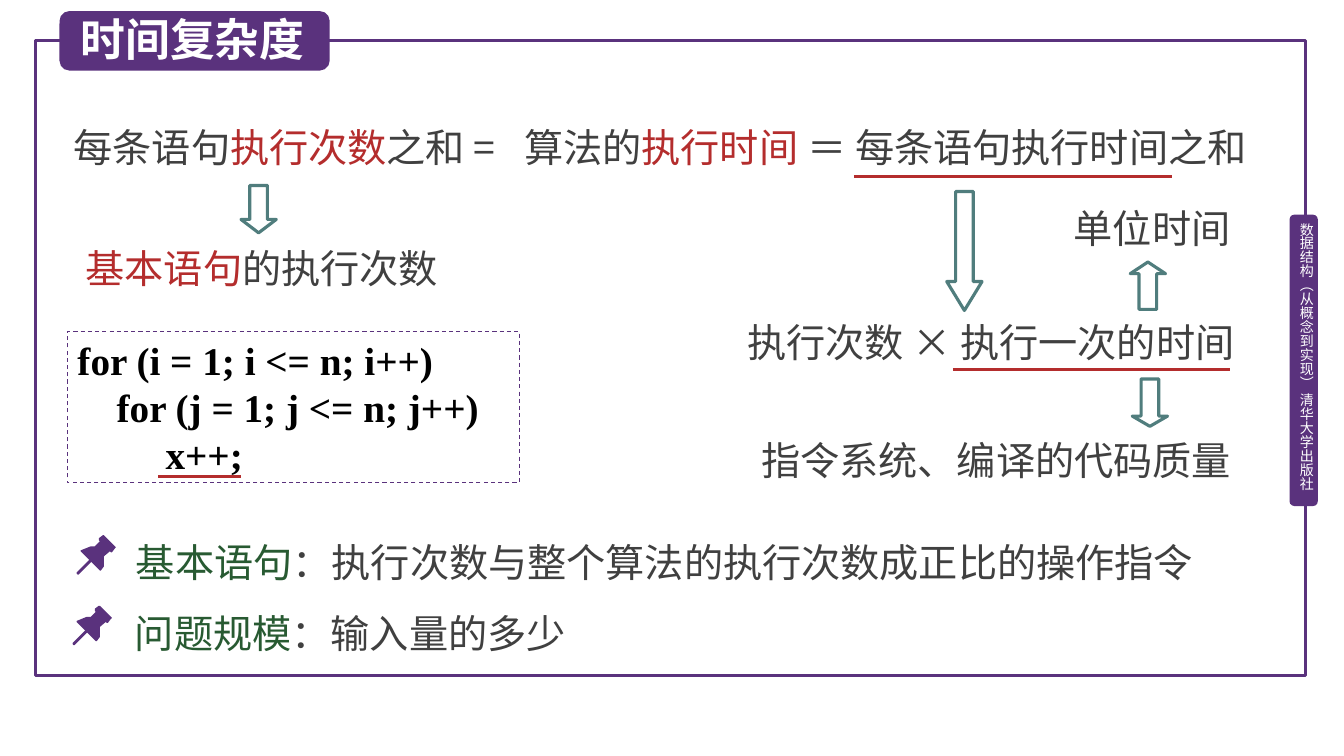
"""Build the slide on time complexity."""
from lxml import etree
from pptx import Presentation
from pptx.dml.color import RGBColor
from pptx.enum.dml import MSO_LINE
from pptx.enum.shapes import MSO_CONNECTOR, MSO_SHAPE
from pptx.oxml.ns import qn
from pptx.util import Inches, Pt

RECTANGLE, ROUNDED = MSO_SHAPE.RECTANGLE, MSO_SHAPE.ROUNDED_RECTANGLE
DOWN, UP = MSO_SHAPE.DOWN_ARROW, MSO_SHAPE.UP_ARROW
STRAIGHT, DASH = MSO_CONNECTOR.STRAIGHT, MSO_LINE.DASH
PURPLE = RGBColor(0x5A, 0x32, 0x7D)
RED = RGBColor(0xB4, 0x2D, 0x2D)
TEAL = RGBColor(0x50, 0x7D, 0x7D)
GREEN = RGBColor(0x28, 0x5A, 0x32)
GRAY = RGBColor(0x40, 0x40, 0x40)
BLACK = RGBColor(0, 0, 0)
WHITE = RGBColor(0xFF, 0xFF, 0xFF)
CJK, SERIF = "Noto Sans CJK SC", "Times New Roman"

TITLE = "时间复杂度"
COURSE = "数据结构（从概念到实现） 清华大学出版社"
CODE = ["for (i = 1; i <= n; i++)", "    for (j = 1; j <= n; j++)", "         x++;"]
STATEMENTS = [
    ((0.73, 1.21, 4.37, 0.55), [("每条语句", GRAY), ("执行次数", RED), ("之和 =", GRAY)]),
    ((5.2, 1.21, 7.5, 0.55),
     [("算法的", GRAY), ("执行时间", RED), (" ＝ 每条语句执行时间之和", GRAY)]),
    ((0.85, 2.41, 3.7, 0.55), [("基本语句", RED), ("的执行次数", GRAY)]),
    ((10.65, 2.01, 1.8, 0.55), [("单位时间", GRAY)]),
    ((7.41, 3.14, 5.2, 0.55), [("执行次数 × 执行一次的时间", GRAY)]),
    ((7.55, 4.31, 4.85, 0.55), [("指令系统、编译的代码质量", GRAY)]),
]
DEFINITIONS = [
    ((1.25, 5.2, 11.32, 0.67), (0.76, 5.3),
     [("基本语句", GREEN), ("：执行次数与整个算法的执行次数成正比的操作指令", GRAY)]),
    ((1.24, 5.9, 5.01, 0.67), (0.72, 6.0),
     [("问题规模", GREEN), ("：输入量的多少", GRAY)]),
]
ARROWS = [
    (DOWN, (2.39, 1.84, 0.35, 0.47), 0.38),
    (DOWN, (9.39, 1.9, 0.35, 1.18), 0.82),
    (UP, (11.21, 2.6, 0.35, 0.47), 0.33),
    (DOWN, (11.23, 3.76, 0.35, 0.47), 0.29),
]
UNDERLINES = [(8.47, 11.62, 1.75), (9.45, 12.2, 3.67), (1.57, 2.39, 4.73)]
PIN_HEAD = [(0.39, 0.13), (0.27, 0.01), (0.26, 0.01), (0.22, 0.04), (0.22, 0.06),
            (0.23, 0.07), (0.18, 0.12), (0.14, 0.12), (0.04, 0.16), (0.04, 0.17),
            (0.23, 0.36), (0.24, 0.36), (0.27, 0.32), (0.27, 0.22), (0.33, 0.17),
            (0.34, 0.18), (0.35, 0.18), (0.38, 0.14)]
PIN_NEEDLE = [(0.01, 0.4), (0, 0.39), (0, 0.38), (0.13, 0.25), (0.15, 0.25),
              (0.15, 0.27), (0.02, 0.4)]


def paint(shape, fill=None, line=None, width=2.25):
    shape.shadow.inherit = False
    if fill is None:
        shape.fill.background()
    else:
        shape.fill.solid()
        shape.fill.fore_color.rgb = fill
    if line is None:
        shape.line.fill.background()
    else:
        shape.line.color.rgb = line
        shape.line.width = Pt(width)
    return shape


def add_block(slide, kind, box, **look):
    return paint(slide.shapes.add_shape(kind, *map(Inches, box)), **look)


def add_text(slide, box, lines, size=28, font=CJK, bold=False, inset=(0.1, 0.05),
             spacing=1.0, vertical=False):
    frame = slide.shapes.add_textbox(*map(Inches, box)).text_frame
    frame.word_wrap = True
    frame.margin_left = frame.margin_right = Inches(inset[0])
    frame.margin_top = frame.margin_bottom = Inches(inset[1])
    if vertical:
        frame._txBody.bodyPr.set("vert", "eaVert")
    for number, runs in enumerate(lines):
        paragraph = frame.add_paragraph() if number else frame.paragraphs[0]
        paragraph.line_spacing = spacing
        for words, color in runs:
            run = paragraph.add_run()
            run.text = words
            run.font.size, run.font.bold, run.font.name = Pt(size), bold, font
            run.font.color.rgb = color
            etree.SubElement(run.font._element, qn("a:ea")).set("typeface", font)


def add_underline(slide, left, right, y):
    rule = slide.shapes.add_connector(
        STRAIGHT, Inches(left), Inches(y), Inches(right), Inches(y))
    rule.line.color.rgb = RED
    rule.line.width = Pt(2.25)
    etree.SubElement(rule._element.spPr, qn("a:effectLst"))


def add_pin(slide, left, top):
    for outline in (PIN_HEAD, PIN_NEEDLE):
        points = [(Inches(left + x), Inches(top + y)) for x, y in outline]
        builder = slide.shapes.build_freeform(*points[0])
        builder.add_line_segments(points[1:], close=True)
        paint(builder.convert_to_shape(), fill=PURPLE)


def main():
    deck = Presentation()
    deck.slide_width, deck.slide_height = Inches(13.33), Inches(7.5)
    slide = deck.slides.add_slide(deck.slide_layouts[6])
    slide.background.fill.solid()
    slide.background.fill.fore_color.rgb = WHITE

    add_block(slide, RECTANGLE, (0.35, 0.4, 12.6, 6.3), line=PURPLE)
    add_block(slide, ROUNDED, (12.79, 2.13, 0.28, 2.89), fill=PURPLE)
    add_text(slide, (12.87, 2.21, 0.17, 2.81), [[(COURSE, WHITE)]], size=10,
             inset=(0, 0), vertical=True)
    add_block(slide, ROUNDED, (0.59, 0.11, 2.68, 0.59), fill=PURPLE)
    add_text(slide, (0.7, 0.07, 2.6, 0.64), [[(TITLE, WHITE)]], size=32, bold=True)

    for box, runs in STATEMENTS:
        add_text(slide, box, [runs], inset=(0, 0.05), spacing=0.95)
    for kind, box, head in ARROWS:
        arrow = add_block(slide, kind, box, line=TEAL)
        arrow.adjustments[0], arrow.adjustments[1] = 0.5, head

    code_box = (0.67, 3.29, 4.48, 1.5)
    frame = add_block(slide, RECTANGLE, code_box, line=PURPLE, width=0.75)
    frame.line.dash_style = DASH
    add_text(slide, code_box, [[(line, BLACK)] for line in CODE], font=SERIF, bold=True)

    for box, pin, runs in DEFINITIONS:
        add_text(slide, box, [runs], spacing=1.2)
        add_pin(slide, *pin)
    for left, right, y in UNDERLINES:
        add_underline(slide, left, right, y)
    deck.save("out.pptx")


if __name__ == "__main__":
    main()
